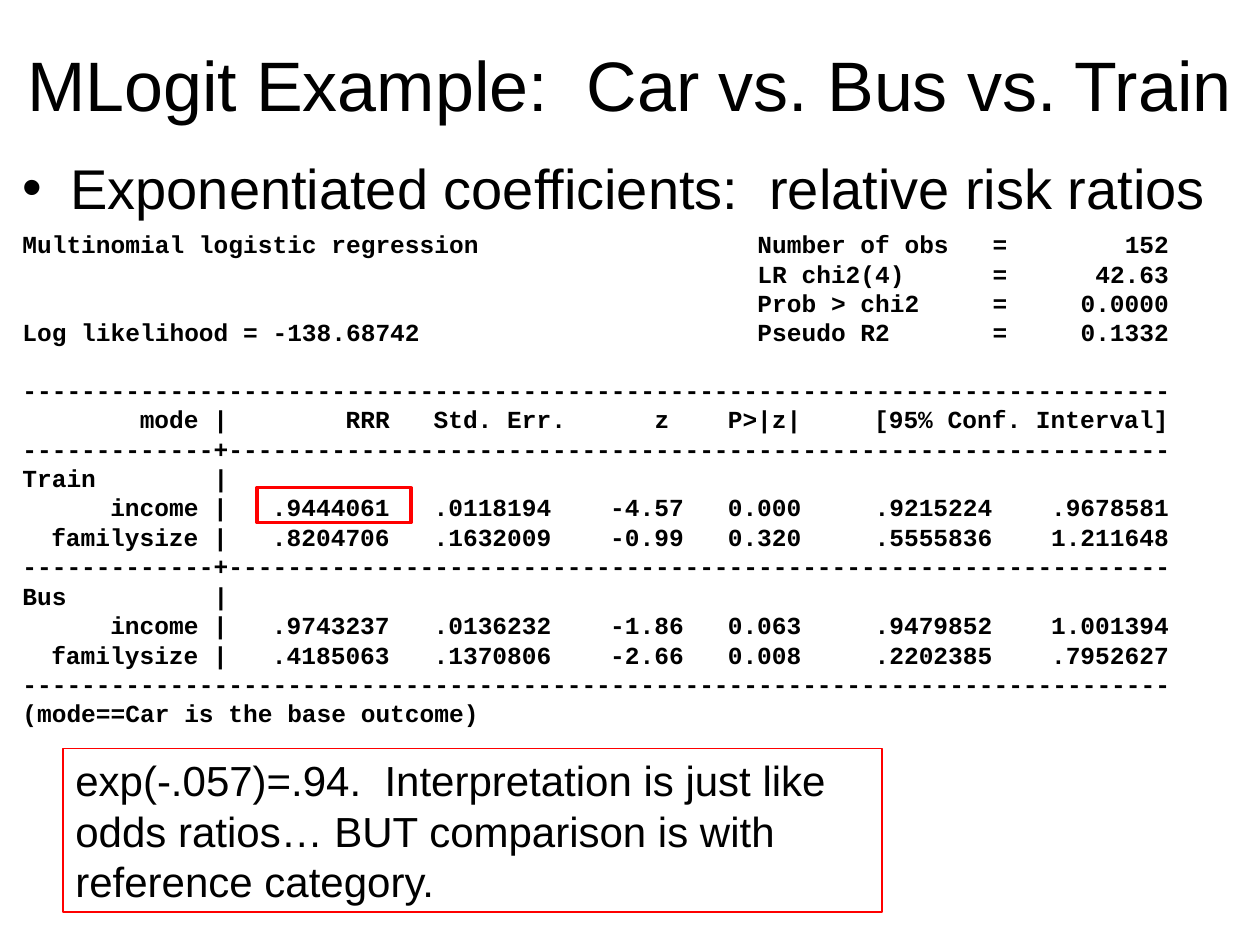
from lxml import etree
from pptx import Presentation
from pptx import util as u
from pptx.dml.color import RGBColor
from pptx.enum import shapes, text
from pptx.oxml import ns

BLACK = RGBColor(0, 0, 0)
RED = RGBColor(255, 0, 0)
WIDTH, HEIGHT = u.Inches(10), u.Inches(7.5)
MONO_SIZE = 14
MONO_COLUMN = u.Pt(MONO_SIZE * 0.6)
COLUMNS, BAR = 78, 14

SUMMARY_TABS = [(50, "l"), (66, "l"), (COLUMNS, "r")]
HEADER_TABS = [(c, "r") for c in (BAR, 25, 37, 44, 53, COLUMNS)]
ROW_TABS = [(c, "r") for c in (BAR, 25, 36, 45, 53, 66, COLUMNS)]

SUMMARY = [
    ("Multinomial logistic regression", "Number of obs", "=", "152"),
    ("", "LR chi2(4)", "=", "42.63"),
    ("", "Prob > chi2", "=", "0.0000"),
    ("Log likelihood = -138.68742", "Pseudo R2", "=", "0.1332"),
]
HEADER = ("", "mode |", "RRR", "Std. Err.", "z", "P>|z|", "[95% Conf. Interval]")
OUTCOMES = {
    "Train": [
        ("income", ".9444061", ".0118194", "-4.57", "0.000", ".9215224", ".9678581"),
        ("familysize", ".8204706", ".1632009", "-0.99", "0.320", ".5555836", "1.211648"),
    ],
    "Bus": [
        ("income", ".9743237", ".0136232", "-1.86", "0.063", ".9479852", "1.001394"),
        ("familysize", ".4185063", ".1370806", "-2.66", "0.008", ".2202385", ".7952627"),
    ],
}


def area(x, y, w, h):
    return [int(v) for v in (WIDTH * x, HEIGHT * y, WIDTH * w, HEIGHT * h)]


def add_run(p, content, size, font="Arial", bold=False):
    r = p.add_run()
    r.text = content
    r.font.size = u.Pt(size)
    r.font.name = font
    r.font.bold = bold
    r.font.color.rgb = BLACK


def add_text(s, place, content, size, before=0):
    sp = s.shapes.add_textbox(*place)
    tf = sp.text_frame
    tf.word_wrap = True
    p = tf.paragraphs[0]
    p.space_before = u.Pt(before)
    if content:
        add_run(p, content, size)
    return tf


def set_bullet(p, indent):
    pPr = p._p.get_or_add_pPr()
    pPr.set("marL", str(indent))
    pPr.set("indent", str(-indent))
    etree.SubElement(pPr, ns.qn("a:buFont"), typeface="Arial")
    etree.SubElement(pPr, ns.qn("a:buChar"), char="•")


def set_tabs(p, tabs):
    tab_list = etree.SubElement(p._p.get_or_add_pPr(), ns.qn("a:tabLst"))
    for column, align in tabs:
        etree.SubElement(tab_list, ns.qn("a:tab"),
                         pos=str(int(column * MONO_COLUMN)), algn=align)


def output_lines():
    rule = ("-" * COLUMNS,)
    split = ("-" * (BAR - 1) + "+" + "-" * (COLUMNS - BAR),)
    lines = [(cells, SUMMARY_TABS, 0) for cells in SUMMARY]
    lines += [(rule, [], 16), (HEADER, HEADER_TABS, 0)]
    for outcome, rows in OUTCOMES.items():
        lines += [(split, [], 0), ((outcome, "|"), ROW_TABS, 0)]
        lines += [(("", name + " |", *values), ROW_TABS, 0) for name, *values in rows]
    return lines + [(rule, [], 0), (("(mode==Car is the base outcome)",), [], 0)]


def add_output(s, place):
    tf = add_text(s, place, "", MONO_SIZE)
    for i, (cells, tabs, before) in enumerate(output_lines()):
        p = tf.add_paragraph() if i else tf.paragraphs[0]
        p.space_before = u.Pt(before)
        if tabs:
            set_tabs(p, tabs)
        add_run(p, "\t".join(cells), MONO_SIZE, "Courier New", True)


def add_frame(group, place, weight):
    sp = group.shapes.add_shape(shapes.MSO_SHAPE.RECTANGLE, *place)
    sp.shadow.inherit = False
    sp.fill.background()
    sp.line.color.rgb = RED
    sp.line.width = u.Pt(weight)
    return sp


def add_note(group, place, content):
    tf = add_frame(group, place, 0.75).text_frame
    tf.word_wrap = True
    tf.vertical_anchor = text.MSO_ANCHOR.TOP
    p = tf.paragraphs[0]
    p.alignment = text.PP_ALIGN.LEFT
    p.space_before = u.Pt(15)
    add_run(p, content, 24)


def main():
    prs = Presentation()
    prs.slide_width, prs.slide_height = WIDTH, HEIGHT
    s = prs.slides.add_slide(prs.slide_layouts[6])

    title = add_text(s, area(0.005, 0, 0.989, 0.177),
                     "MLogit Example:  Car vs. Bus vs. Train", 40)
    title.vertical_anchor = text.MSO_ANCHOR.MIDDLE
    title.paragraphs[0].alignment = text.PP_ALIGN.CENTER

    body = add_text(s, area(0.008, 0.156, 0.992, 0.1),
                    "Exponentiated coefficients:  relative risk ratios", 32, 8)
    set_bullet(body.paragraphs[0], u.Inches(0.38))

    add_output(s, area(0.008, 0.236, 0.983, 0.543))

    group = s.shapes.add_group_shape()
    add_note(group, area(0.05, 0.792, 0.65, 0.173),
             "exp(-.057)=.94.  Interpretation is just like odds ratios… "
             "BUT comparison is with reference category.")
    add_frame(group, area(0.204, 0.516, 0.122, 0.037), 2)

    prs.save("out.pptx")


main()
